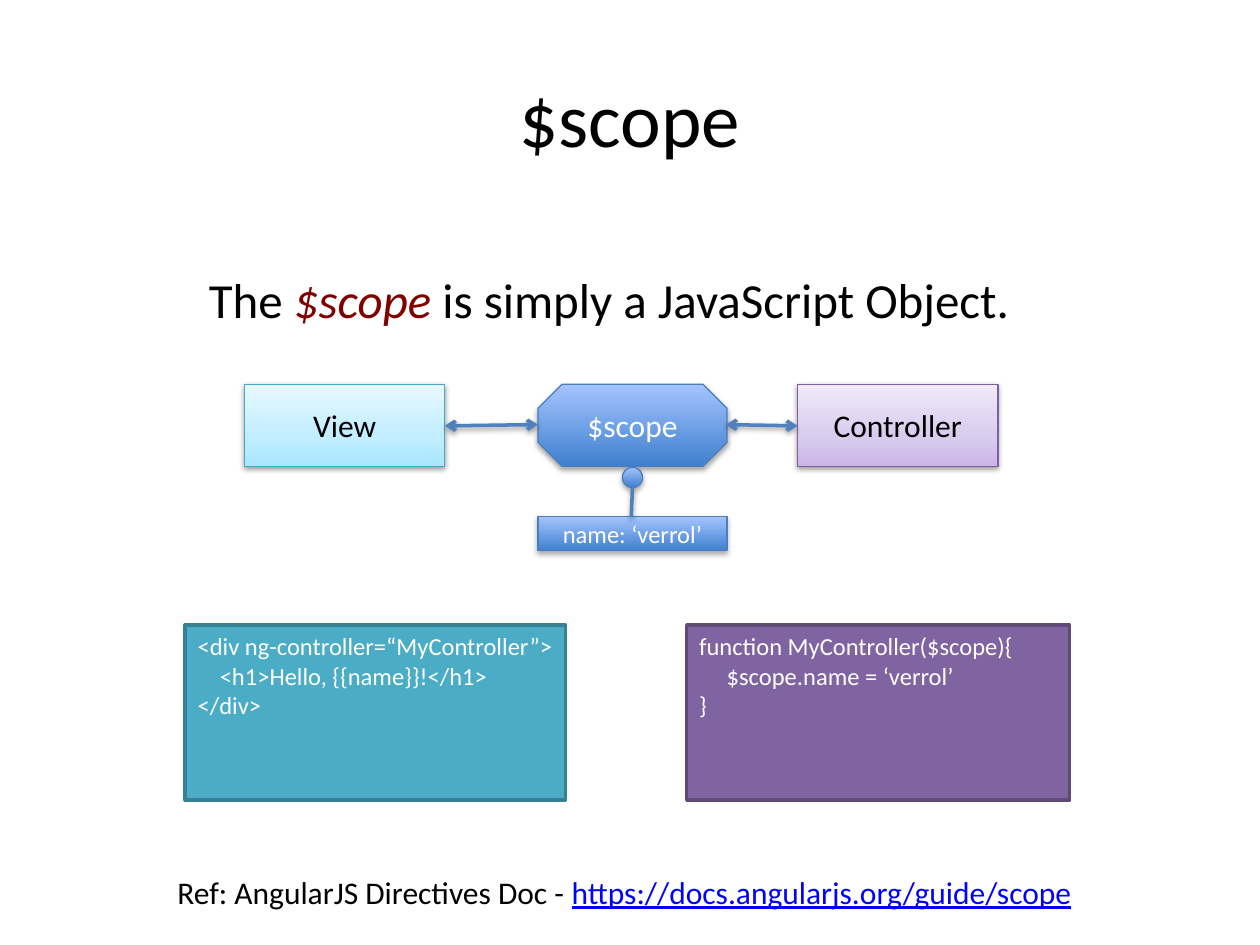
from dataclasses import dataclass

import pptx
import pptx.dml.color
import pptx.enum.shapes
import pptx.enum.text
import pptx.oxml
import pptx.oxml.ns
import pptx.util
from pptx.dml.color import RGBColor
from pptx.enum.shapes import MSO_SHAPE
from pptx.util import Inches

BLACK = RGBColor(0x00, 0x00, 0x00)
WHITE = RGBColor(0xFF, 0xFF, 0xFF)
MAROON = RGBColor(0x80, 0x00, 0x00)
LINK_BLUE = RGBColor(0x00, 0x00, 0xFF)
ARROW_BLUE = RGBColor(0x4F, 0x81, 0xBD)
BLUE_EDGE = RGBColor(0x4B, 0x7E, 0xBC)
AQUA = RGBColor(0x4B, 0xAC, 0xC6)
AQUA_EDGE = RGBColor(0x46, 0xAA, 0xC5)
AQUA_DARK = RGBColor(0x37, 0x7F, 0x92)
PURPLE = RGBColor(0x80, 0x64, 0xA2)
PURPLE_EDGE = RGBColor(0x7D, 0x60, 0xA0)
PURPLE_DARK = RGBColor(0x5F, 0x4A, 0x78)

Stops = tuple[tuple[int, RGBColor], ...]
BLUE_STOPS: Stops = ((0, RGBColor(0x3F, 0x80, 0xCE)), (100, RGBColor(0xA4, 0xC4, 0xFF)))
AQUA_STOPS: Stops = (
    (0, RGBColor(0xA7, 0xE6, 0xFF)),
    (35, RGBColor(0xC1, 0xED, 0xFF)),
    (100, RGBColor(0xE7, 0xF8, 0xFF)),
)
PURPLE_STOPS: Stops = (
    (0, RGBColor(0xC9, 0xB5, 0xE8)),
    (35, RGBColor(0xD8, 0xCB, 0xEE)),
    (100, RGBColor(0xF0, 0xEA, 0xF9)),
)
NAMESPACE = pptx.oxml.ns.nsdecls("a")


@dataclass
class Node:
    text: str
    kind: MSO_SHAPE
    area: tuple[float, float, float, float]
    stops: Stops
    edge: RGBColor
    size: int = 18
    color: RGBColor = WHITE
    shadow_alpha: int = 35
    shadow_distance: float = 1.8


@dataclass
class Link:
    start: tuple[float, float]
    end: tuple[float, float]
    arrows: bool = True


@dataclass
class CodeBox:
    lines: tuple[str, ...]
    left: float
    width: float
    fill: RGBColor
    edge: RGBColor


NODES = (
    Node("View", MSO_SHAPE.RECTANGLE, (1.94, 3.05, 1.59, 0.65), AQUA_STOPS, AQUA_EDGE,
         color=BLACK, shadow_alpha=38, shadow_distance=1.6),
    Node("Controller", MSO_SHAPE.RECTANGLE, (6.33, 3.05, 1.59, 0.65), PURPLE_STOPS, PURPLE_EDGE,
         color=BLACK, shadow_alpha=38, shadow_distance=1.6),
    Node("$scope", MSO_SHAPE.OCTAGON, (4.27, 3.05, 1.5, 0.65), BLUE_STOPS, BLUE_EDGE),
    Node("", MSO_SHAPE.OVAL, (4.94, 3.71, 0.16, 0.16), BLUE_STOPS, BLUE_EDGE),
    Node("name: ‘verrol’", MSO_SHAPE.RECTANGLE, (4.27, 4.1, 1.5, 0.27), BLUE_STOPS, BLUE_EDGE,
         size=14),
)
LINKS = (
    Link((3.53, 3.38), (4.27, 3.37)),
    Link((5.76, 3.37), (6.33, 3.38)),
    Link((5.02, 3.87), (5.01, 4.1), arrows=False),
)
CODE_BOXES = (
    CodeBox(("<div ng-controller=“MyController”>", "    <h1>Hello, {{name}}!</h1>", "</div>"),
            1.47, 3.02, AQUA, AQUA_DARK),
    CodeBox(("function MyController($scope){", "     $scope.name = ‘verrol’", "}"),
            5.45, 3.04, PURPLE, PURPLE_DARK),
)


def add_span(para, text: str, *, size: int, color: RGBColor = BLACK,
             italic: bool = False, underline: bool = False) -> None:
    span = para.add_run()
    span.text = text
    span.font.name = "Calibri"
    span.font.size = pptx.util.Pt(size)
    span.font.color.rgb = color
    span.font.italic = italic
    span.font.underline = underline


def add_shadow(shape, alpha: int, distance: float) -> None:
    shape._element.spPr.append(pptx.oxml.parse_xml(
        f'<a:effectLst {NAMESPACE}><a:outerShdw blurRad="{pptx.util.Pt(3.1)}" '
        f'dist="{pptx.util.Pt(distance)}" dir="5400000" rotWithShape="0">'
        f'<a:srgbClr val="000000"><a:alpha val="{alpha * 1000}"/></a:srgbClr>'
        "</a:outerShdw></a:effectLst>"))


def fill_gradient(shape, stops: Stops) -> None:
    shape.fill.gradient()
    shape.fill.gradient_angle = 90
    marks = "".join(f'<a:gs pos="{place * 1000}"><a:srgbClr val="{color}"/></a:gs>'
                    for place, color in stops)
    stop_list = shape._element.spPr.find(".//" + pptx.oxml.ns.qn("a:gsLst"))
    stop_list.getparent().replace(
        stop_list, pptx.oxml.parse_xml(f"<a:gsLst {NAMESPACE}>{marks}</a:gsLst>"))


def draw_node(page, node: Node) -> None:
    shape = page.shapes.add_shape(node.kind, *map(Inches, node.area))
    fill_gradient(shape, node.stops)
    shape.line.color.rgb = node.edge
    shape.line.width = pptx.util.Pt(0.75)
    add_shadow(shape, node.shadow_alpha, node.shadow_distance)
    if node.text:
        shape.text_frame.vertical_anchor = pptx.enum.text.MSO_ANCHOR.MIDDLE
        para = shape.text_frame.paragraphs[0]
        para.alignment = pptx.enum.text.PP_ALIGN.CENTER
        add_span(para, node.text, size=node.size, color=node.color)


def draw_link(page, link: Link) -> None:
    connector = page.shapes.add_connector(
        pptx.enum.shapes.MSO_CONNECTOR.STRAIGHT, *map(Inches, link.start + link.end))
    connector.line.color.rgb = ARROW_BLUE
    connector.line.width = pptx.util.Pt(2)
    if link.arrows:
        outline = connector.line._get_or_add_ln()
        for end in ("headEnd", "tailEnd"):
            outline.append(pptx.oxml.parse_xml(f'<a:{end} {NAMESPACE} type="arrow"/>'))
    add_shadow(connector, 38, 1.6)


def draw_code(page, code: CodeBox) -> None:
    box = page.shapes.add_shape(MSO_SHAPE.RECTANGLE, Inches(code.left), Inches(4.96),
                                Inches(code.width), Inches(1.39))
    box.shadow.inherit = False
    box.fill.solid()
    box.fill.fore_color.rgb = code.fill
    box.line.color.rgb = code.edge
    box.line.width = pptx.util.Pt(2)
    frame = box.text_frame
    frame.vertical_anchor = pptx.enum.text.MSO_ANCHOR.TOP
    for index, line in enumerate(code.lines):
        para = frame.add_paragraph() if index else frame.paragraphs[0]
        para.alignment = pptx.enum.text.PP_ALIGN.LEFT
        add_span(para, line, size=14, color=WHITE)


def add_text_line(page, area: tuple[float, float, float, float], wrap: bool):
    box = page.shapes.add_textbox(*map(Inches, area))
    box.text_frame.word_wrap = wrap
    box.text_frame.auto_size = pptx.enum.text.MSO_AUTO_SIZE.SHAPE_TO_FIT_TEXT
    return box.text_frame.paragraphs[0]


def main() -> None:
    deck = pptx.Presentation()
    deck.slide_width, deck.slide_height = Inches(10), Inches(7.5)
    page = deck.slides.add_slide(deck.slide_layouts[5])

    title = page.shapes.title
    title.left, title.top, title.width, title.height = map(Inches, (0.5, 0.3, 9, 1.25))
    title.text_frame.vertical_anchor = pptx.enum.text.MSO_ANCHOR.MIDDLE
    heading = title.text_frame.paragraphs[0]
    heading.alignment = pptx.enum.text.PP_ALIGN.CENTER
    add_span(heading, "$scope", size=44)

    statement = add_text_line(page, (1.56, 2.09, 6.93, 0.57), wrap=True)
    add_span(statement, "The ", size=28)
    add_span(statement, "$scope ", size=28, color=MAROON, italic=True)
    add_span(statement, "is simply a JavaScript Object.", size=28)

    for node in NODES:
        draw_node(page, node)
    for link in LINKS:
        draw_link(page, link)
    for code in CODE_BOXES:
        draw_code(page, code)

    reference = add_text_line(page, (1.31, 6.88, 7.39, 0.4), wrap=False)
    add_span(reference, "Ref: AngularJS Directives Doc - ", size=18)
    add_span(reference, "https://docs.angularjs.org/guide/scope", size=18,
             color=LINK_BLUE, underline=True)

    deck.save("out.pptx")


if __name__ == "__main__":
    main()
